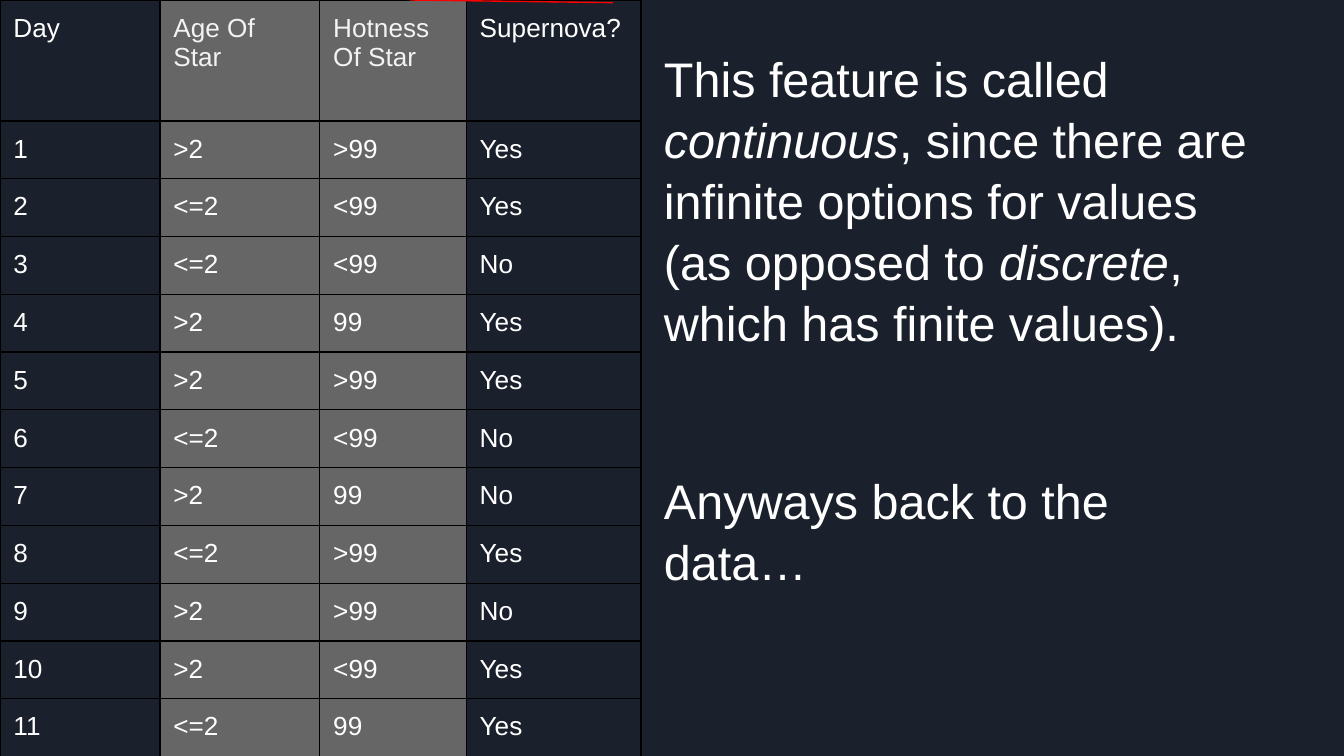
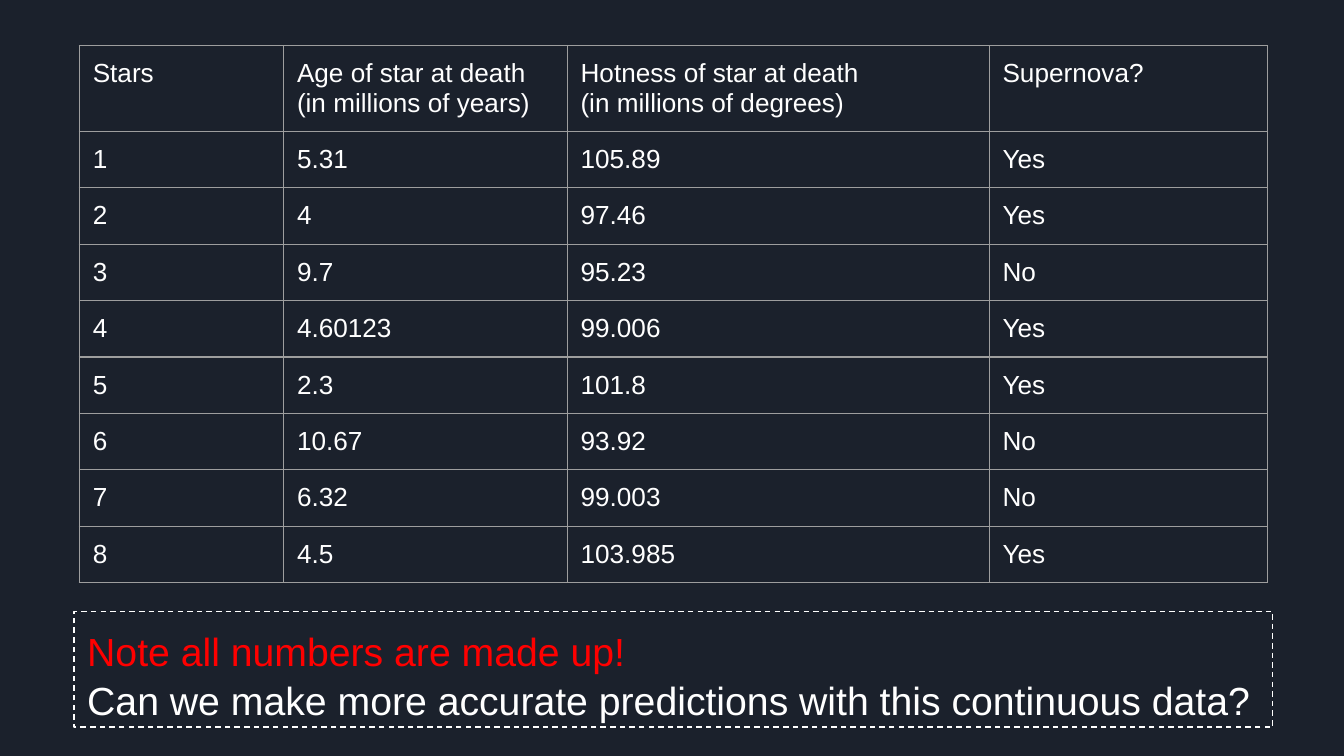
from dataclasses import dataclass

from lxml import etree
from pptx import Presentation
from pptx.dml.color import RGBColor
from pptx.enum.dml import MSO_LINE
from pptx.enum.shapes import MSO_CONNECTOR, MSO_SHAPE
from pptx.enum.text import MSO_ANCHOR, MSO_AUTO_SIZE, PP_ALIGN
from pptx.oxml.ns import qn
from pptx.util import Emu, Inches, Pt

RECT = MSO_SHAPE.RECTANGLE
STRAIGHT = MSO_CONNECTOR.STRAIGHT
DASH = MSO_LINE.DASH
TOP = MSO_ANCHOR.TOP
LEFT = PP_ALIGN.LEFT
NO_AUTOFIT = MSO_AUTO_SIZE.NONE

COLORS = {
    "background": "1B212C",
    "white": "FFFFFF",
    "header": "F3F3F3",
    "shade": "666666",
    "red": "FF0000",
    "black": "000000",
    "gray": "9E9E9E",
}
FONT = "Arial"
COLUMNS, ROWS = 100, 56.25
CELL = Inches(0.1)  # side of one square of the slide grid
INSET = CELL
LINE = Pt(0.75)
LINE_SPACING = 1.05
PLAIN_TABLE = "{2D5ABB26-0587-4C30-8999-92F81FD0307C}"


@dataclass(frozen=True)
class Box:
    """A place on the grid, in columns and rows."""
    left: float
    top: float
    width: float
    height: float

    def emu(self) -> list[Emu]:
        return [grid(n) for n in (self.left, self.top, self.width, self.height)]


@dataclass(frozen=True)
class Run:
    text: str
    color: str = "white"
    italic: bool = False


@dataclass(frozen=True)
class TableSpec:
    box: Box
    widths: tuple[float, ...]
    header_height: float
    row_height: float
    border: str
    rows: tuple[tuple[str, ...], ...]
    shaded: tuple[int, ...] = ()


STAR_DAYS = TableSpec(
    Box(0, 0, 47.6, 56.7), (11.9, 11.9, 10.9, 13), 9, 4.3, "black",
    (
        ("Day", "Age Of Star", "Hotness Of Star", "Supernova?"),
        ("1", ">2", ">99", "Yes"),
        ("2", "<=2", "<99", "Yes"),
        ("3", "<=2", "<99", "No"),
        ("4", ">2", "99", "Yes"),
        ("5", ">2", ">99", "Yes"),
        ("6", "<=2", "<99", "No"),
        ("7", ">2", "99", "No"),
        ("8", "<=2", ">99", "Yes"),
        ("9", ">2", ">99", "No"),
        ("10", ">2", "<99", "Yes"),
        ("11", "<=2", "99", "Yes"),
    ),
    shaded=(1, 2),
)
STAR_DEATHS = TableSpec(
    Box(5.9, 3.4, 88.4, 41.3), (15.2, 21.1, 31.4, 20.7), 4.2, 4.2, "gray",
    (
        ("Stars", "Age of star at death (in millions of years)",
         "Hotness of star at death\n(in millions of degrees)", "Supernova?"),
        ("1", "5.31", "105.89", "Yes"),
        ("2", "4", "97.46", "Yes"),
        ("3", "9.7", "95.23", "No"),
        ("4", "4.60123", "99.006", "Yes"),
        ("5", "2.3", "101.8", "Yes"),
        ("6", "10.67", "93.92", "No"),
        ("7", "6.32", "99.003", "No"),
        ("8", "4.5", "103.985", "Yes"),
    ),
)
EXPLANATION = (
    (Run("This feature is called "), Run("continuous", italic=True),
     Run(", since there are infinite options for values (as opposed to "),
     Run("discrete", italic=True), Run(", which has finite values).")),
    (Run("Anyways back to the data…"),),
)
NOTE = (
    (Run("Note all numbers are made up!", "red"),),
    (Run("Can we make more accurate predictions with this continuous data?"),),
)


def grid(cells: float) -> Emu:
    return Emu(round(cells * CELL))


def rgb(name: str) -> RGBColor:
    return RGBColor.from_string(COLORS[name])


def write(tf, paragraphs, size: float, spacing: float = LINE_SPACING, gap: float = 0) -> None:
    """Fill a text frame run by run, with gap points between paragraphs."""
    tf.word_wrap = True
    for i, runs in enumerate(paragraphs):
        p = tf.add_paragraph() if i else tf.paragraphs[0]
        p.alignment = LEFT
        p.line_spacing = spacing
        p.space_before = Pt(gap if i else 0)
        for run in runs:
            r = p.add_run()
            r.text = run.text
            r.font.name = FONT
            r.font.size = Pt(size)
            r.font.italic = run.italic
            r.font.color.rgb = rgb(run.color)


def set_frame(tf) -> None:
    tf.margin_left = tf.margin_right = tf.margin_top = tf.margin_bottom = INSET
    tf.vertical_anchor = TOP
    tf.auto_size = NO_AUTOFIT


def border_cell(cell, color: str) -> None:
    tcPr = cell._tc.get_or_add_tcPr()
    for side in ("a:lnL", "a:lnR", "a:lnT", "a:lnB"):
        ln = etree.SubElement(tcPr, qn(side), w=str(LINE))
        fill = etree.SubElement(ln, qn("a:solidFill"))
        etree.SubElement(fill, qn("a:srgbClr"), val=COLORS[color])


def add_star_table(slide, spec: TableSpec) -> None:
    s = slide.shapes.add_table(len(spec.rows), len(spec.widths), *spec.box.emu())
    table = s.table
    table.first_row = table.horz_banding = False
    table._tbl.tblPr.find(qn("a:tableStyleId")).text = PLAIN_TABLE
    for column, width in zip(table.columns, spec.widths):
        column.width = grid(width)
    for i, row in enumerate(spec.rows):
        table.rows[i].height = grid(spec.row_height if i else spec.header_height)
        for j, text in enumerate(row):
            cell = table.cell(i, j)
            cell.margin_left = cell.margin_right = INSET
            cell.margin_top = cell.margin_bottom = INSET
            border_cell(cell, spec.border)
            color = "white"
            if j in spec.shaded:
                cell.fill.solid()
                cell.fill.fore_color.rgb = rgb("shade")
                color = "white" if i else "header"
            else:
                cell.fill.background()
            lines = [(Run(line, color),) for line in text.split("\n")]
            write(cell.text_frame, lines, 14, spacing=1.0)
    s.height = grid(spec.box.height)


def fill_body(slide, box: Box, paragraphs, size: float, gap: float) -> None:
    """Turn the body placeholder into unbulleted text."""
    body = slide.placeholders[1]
    body.left, body.top, body.width, body.height = box.emu()
    tf = body.text_frame
    set_frame(tf)
    write(tf, paragraphs, size, gap=gap)
    for p in tf.paragraphs:
        pPr = p._p.get_or_add_pPr()
        pPr.set("marL", "0")
        pPr.set("indent", "0")
        etree.SubElement(pPr, qn("a:buNone"))


def add_note(slide, box: Box, paragraphs, size: float) -> None:
    s = slide.shapes.add_shape(RECT, *box.emu())
    s.shadow.inherit = False
    s.fill.background()
    s.line.color.rgb = rgb("white")
    s.line.width = LINE
    s.line.dash_style = DASH
    set_frame(s.text_frame)
    write(s.text_frame, paragraphs, size)


def add_red_line(slide, x1: float, y1: float, x2: float, y2: float) -> None:
    s = slide.shapes.add_connector(STRAIGHT, *(grid(n) for n in (x1, y1, x2, y2)))
    s.line.color.rgb = rgb("red")
    s.line.width = LINE
    etree.SubElement(s._element.spPr, qn("a:effectLst"))


def build_continuous(prs) -> None:
    slide = prs.slides.add_slide(prs.slide_layouts[1])
    title = slide.shapes.title._element
    title.getparent().remove(title)
    add_star_table(slide, STAR_DAYS)
    fill_body(slide, Box(48.4, 2.4, 46.7, 49.9), EXPLANATION, 26, gap=62.5)
    add_red_line(slide, 30.5, 0, 45.6, 0.2)


def build_data(prs) -> None:
    slide = prs.slides.add_slide(prs.slide_layouts[6])
    add_star_table(slide, STAR_DEATHS)
    add_note(slide, Box(5.5, 45.5, 89.2, 8.6), NOTE, 21)


def main() -> None:
    prs = Presentation()
    prs.slide_width, prs.slide_height = grid(COLUMNS), grid(ROWS)
    fill = prs.slide_master.background.fill
    fill.solid()
    fill.fore_color.rgb = rgb("background")
    build_continuous(prs)
    build_data(prs)
    prs.save("out.pptx")


if __name__ == "__main__":
    main()
